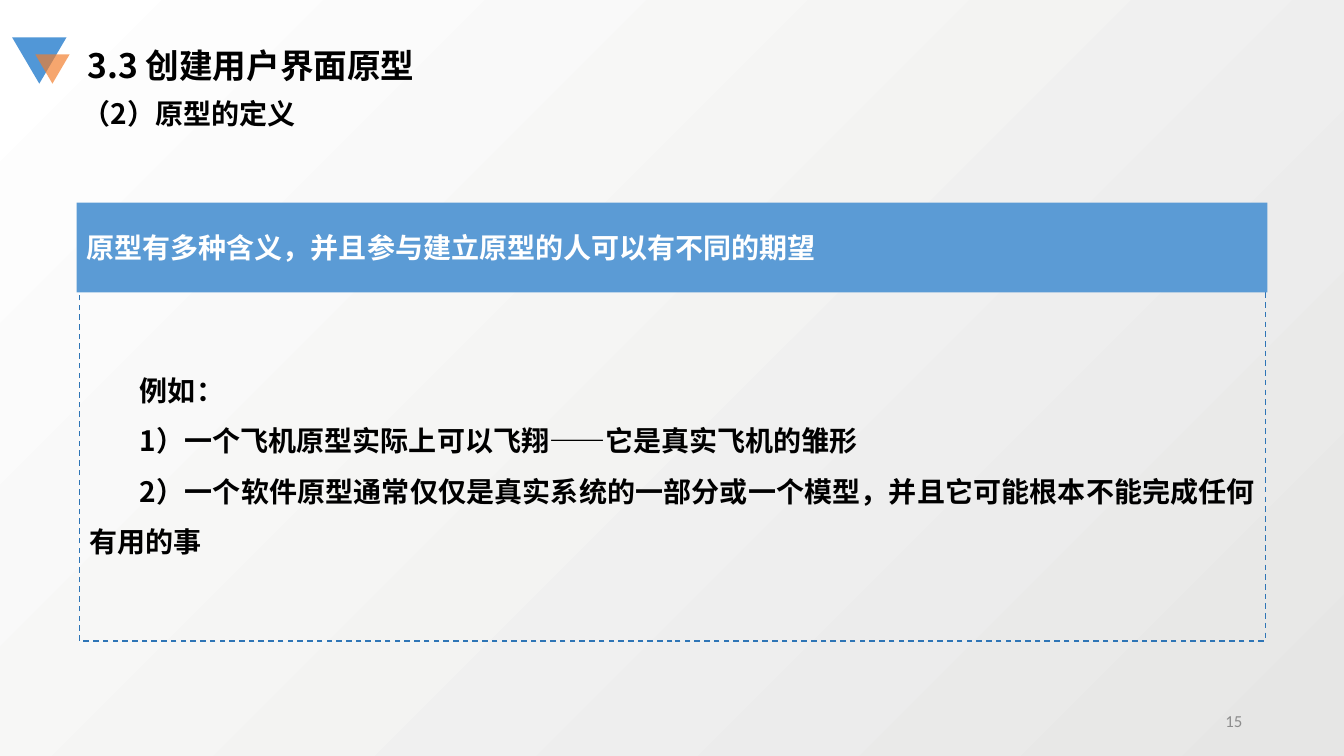
from dataclasses import dataclass

from lxml.etree import SubElement
from pptx import Presentation
from pptx.dml.color import RGBColor
from pptx.enum.dml import MSO_LINE
from pptx.enum.shapes import MSO_SHAPE as Shape
from pptx.enum.text import MSO_ANCHOR as Anchor, PP_ALIGN as Align
from pptx.oxml.ns import qn
from pptx.util import Pt

EMU_PER_PX = 9144  # 100 px to the inch


@dataclass(frozen=True)
class Theme:
    text_font: str = "Noto Sans CJK SC"
    number_font: str = "Calibri"
    title_size: int = 24
    body_size: int = 20
    number_size: int = 12
    black: str = "000000"
    white: str = "FFFFFF"
    grey: str = "8C8C8C"
    banner: str = "5B9BD5"
    frame: str = "2E75B6"
    logo_blue: str = "5197D7"
    logo_orange: str = "F37D2A"
    shade: str = "E6E6E5"


def px(*lengths):
    return [length * EMU_PER_PX for length in lengths]


def rgb(color):
    return RGBColor.from_string(color)


class SlideBuilder:
    def __init__(self, slide, theme):
        self.slide = slide
        self.theme = theme

    def background(self, start, end, angle):
        fill = self.slide.background.fill
        fill.gradient()
        fill.gradient_angle = angle
        for stop, color in zip(fill.gradient_stops, (start, end)):
            stop.color.rgb = rgb(color)

    def shape(self, kind, box, fill=None, dash=None, rotation=0, opacity=100):
        shape = self.slide.shapes.add_shape(kind, *px(*box))
        shape.shadow.inherit = False
        shape.rotation = rotation
        if fill:
            shape.fill.solid()
            shape.fill.fore_color.rgb = rgb(fill)
        else:
            shape.fill.background()
        if dash:
            shape.line.color.rgb = rgb(dash)
            shape.line.width = Pt(1)
            shape.line.dash_style = MSO_LINE.DASH
        else:
            shape.line.fill.background()
        if opacity < 100:
            color = shape.fill._xPr.find(qn("a:solidFill"))[0]
            SubElement(color, qn("a:alpha"), val=str(opacity * 1000))
        return shape

    def text_box(self, box, lines, **style):
        shape = self.slide.shapes.add_textbox(*px(*box))
        self.set_text(shape, lines, **style)

    def set_text(self, shape, lines, size=None, color=None, font=None, bold=True,
                 align=Align.LEFT, anchor=Anchor.TOP, indent=0, spacing=None):
        """Fill a shape with one paragraph per line, all in one style."""
        frame = shape.text_frame
        frame.word_wrap = True
        frame.vertical_anchor = anchor
        frame.text = "\n".join(lines)
        for paragraph in frame.paragraphs:
            paragraph.alignment = align
            paragraph.line_spacing = spacing
            face = paragraph.font
            face.name = font or self.theme.text_font
            face.size = Pt(size or self.theme.body_size)
            face.bold = bold
            face.color.rgb = rgb(color or self.theme.black)
            properties = paragraph._p.pPr
            properties.set("indent", str(indent * EMU_PER_PX))
            SubElement(properties.find(qn("a:defRPr")), qn("a:ea"), typeface=face.name)


def main():
    presentation = Presentation()
    presentation.slide_width, presentation.slide_height = px(1333, 750)
    theme = Theme()
    slide = presentation.slides.add_slide(presentation.slide_layouts[6])
    builder = SlideBuilder(slide, theme)

    builder.background(theme.shade, theme.white, angle=135)
    builder.shape(Shape.ISOSCELES_TRIANGLE, (12, 37, 54, 46), theme.logo_blue, rotation=180)
    builder.shape(Shape.ISOSCELES_TRIANGLE, (35, 54, 34, 29), theme.logo_orange,
                  rotation=180, opacity=68)

    builder.shape(Shape.RECTANGLE, (79, 202, 1176, 434), dash=theme.frame)
    banner = builder.shape(Shape.RECTANGLE, (76, 201, 1181, 89), theme.banner)
    builder.set_text(banner, ["原型有多种含义，并且参与建立原型的人可以有不同的期望"],
                     color=theme.white, anchor=Anchor.MIDDLE)
    builder.text_box((79, 349, 1176, 212), [
        "例如：",
        "1）一个飞机原型实际上可以飞翔——它是真实飞机的雏形",
        "2）一个软件原型通常仅仅是真实系统的一部分或一个模型，并且它可能根本不能完成任何有用的事",
    ], align=Align.JUSTIFY, indent=50, spacing=1.5)

    builder.text_box((77, 40, 360, 50), ["3.3 创建用户界面原型"], size=theme.title_size)
    builder.text_box((942, 695, 300, 40), ["15"], size=theme.number_size, color=theme.grey,
                     font=theme.number_font, bold=False, align=Align.RIGHT,
                     anchor=Anchor.MIDDLE)
    builder.text_box((72, 91, 849, 44), ["（2）原型的定义"])

    presentation.save("out.pptx")


if __name__ == "__main__":
    main()
